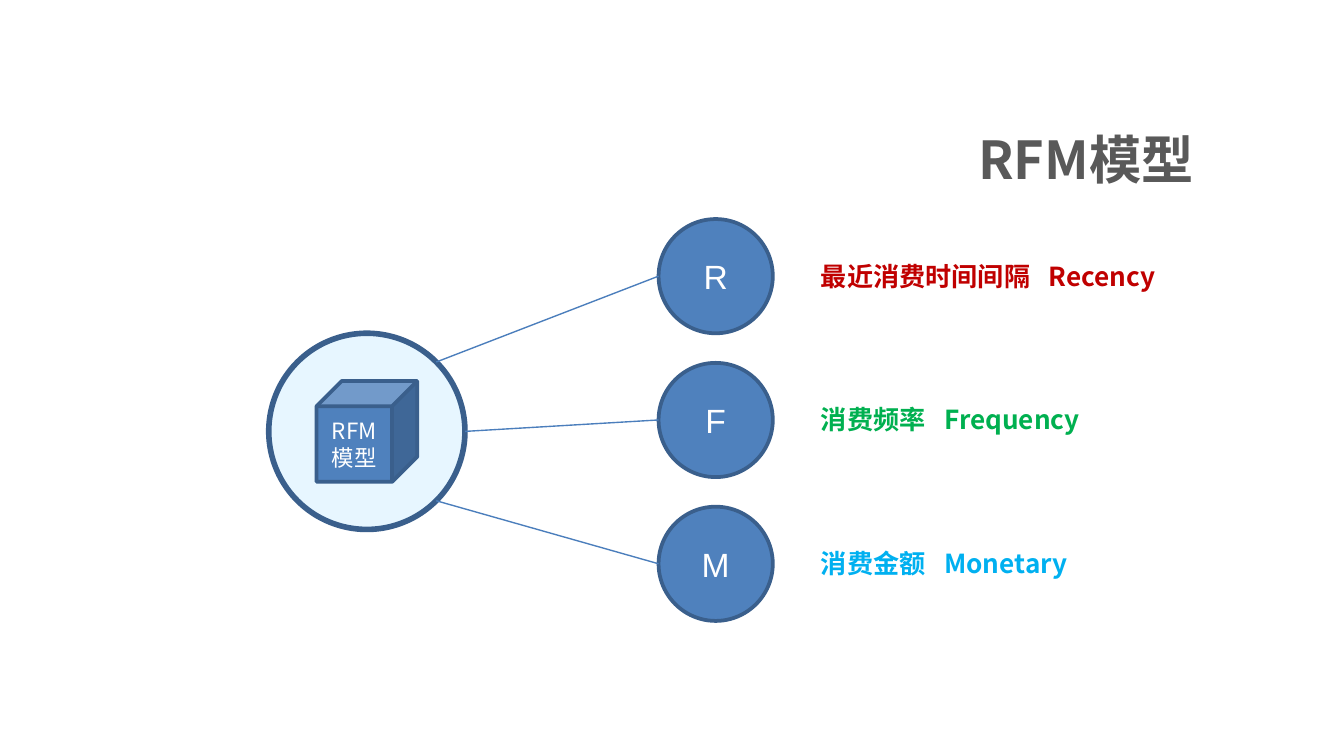
from math import cos, pi, sin

from pptx import Presentation
from pptx.dml.color import RGBColor
from pptx.enum.shapes import MSO_CONNECTOR as Connector, MSO_SHAPE as Shape
from pptx.enum.text import MSO_ANCHOR as Anchor, PP_ALIGN as Align
from pptx.oxml.ns import qn
from pptx.util import Inches, Pt
from lxml.etree import SubElement

WHITE = RGBColor(0xFF, 0xFF, 0xFF)
GREY = RGBColor(0x59, 0x59, 0x59)
BLUE = RGBColor(0x4F, 0x81, 0xBD)
DARK_BLUE = RGBColor(0x3A, 0x5F, 0x8C)
LINK_BLUE = RGBColor(0x4B, 0x7E, 0xBC)
PALE_BLUE = RGBColor(0xE7, 0xF6, 0xFF)
RED = RGBColor(0xC0, 0x00, 0x00)
GREEN = RGBColor(0x00, 0xB0, 0x50)
SKY = RGBColor(0x00, 0xB0, 0xF0)

CJK_FONT = "Noto Sans CJK SC"
LABEL_SIZE = 14
HUB_X, HUB_Y, HUB_SIZE = 2.73, 3.21, 1.46
CUBE_SIZE = 0.75
NODE_LEFT, NODE_TOP, NODE_SIZE, NODE_PITCH = 4.9, 1.63, 0.85, 1.07
LABEL_LEFT, LABEL_HEIGHT = 6.01, 0.34

# Letter, Chinese name, English name, colour, label width, hub angle
FACTORS = [
    ("R", "最近消费时间间隔", "Recency", RED, 2.71, -pi / 4),
    ("F", "消费频率", "Frequency", GREEN, 2.15, 0),
    ("M", "消费金额", "Monetary", SKY, 2.07, pi / 4),
]


def write(frame, text, size, color, font=CJK_FONT, bold=False, align=Align.CENTER):
    paragraph = frame.paragraphs[0]
    paragraph.alignment = align
    run = paragraph.add_run()
    run.text = text
    style = {"size": Pt(size), "name": font, "bold": bold}
    for attribute, value in style.items():
        setattr(run.font, attribute, value)
    run.font.color.rgb = color
    # East Asian characters take their own typeface
    SubElement(run._r.get_or_add_rPr(), qn("a:ea"), typeface=font)


def add_solid(slide, kind, left, top, size, fill, line_width):
    solid = slide.shapes.add_shape(
        kind, Inches(left), Inches(top), Inches(size), Inches(size))
    solid.shadow.inherit = False
    solid.fill.solid()
    solid.fill.fore_color.rgb = fill
    solid.line.color.rgb = DARK_BLUE
    solid.line.width = Pt(line_width)
    solid.text_frame.vertical_anchor = Anchor.MIDDLE
    return solid


def add_link(slide, x1, y1, x2, y2):
    link = slide.shapes.add_connector(
        Connector.STRAIGHT, Inches(x1), Inches(y1), Inches(x2), Inches(y2))
    link.line.color.rgb = LINK_BLUE
    link.line.width = Pt(0.75)
    SubElement(link._element.spPr, qn("a:effectLst"))


def add_label(slide, top, width, chinese, english, color):
    label = slide.shapes.add_textbox(
        Inches(LABEL_LEFT), Inches(top), Inches(width), Inches(LABEL_HEIGHT))
    frame = label.text_frame
    frame.word_wrap = False
    # The English name starts just after the full-width characters
    tab = Pt(LABEL_SIZE * len(chinese)) + Inches(0.14)
    tabs = SubElement(frame.paragraphs[0]._p.get_or_add_pPr(), qn("a:tabLst"))
    SubElement(tabs, qn("a:tab"), pos=str(tab), algn="l")
    write(frame, f"{chinese}\t{english}", LABEL_SIZE, color,
          bold=True, align=Align.LEFT)


def add_title(slide, text):
    title = slide.shapes.title
    place = {"left": 1.81, "top": 0.87, "width": 7.17, "height": 0.62}
    for attribute, value in place.items():
        setattr(title, attribute, Inches(value))
    title.text_frame.vertical_anchor = Anchor.MIDDLE
    write(title.text_frame, text, 28, GREY, bold=True, align=Align.RIGHT)


def add_hub(slide):
    add_solid(slide, Shape.OVAL, HUB_X - HUB_SIZE / 2, HUB_Y - HUB_SIZE / 2,
              HUB_SIZE, PALE_BLUE, 3)
    cube = add_solid(slide, Shape.CUBE, HUB_X - CUBE_SIZE / 2,
                     HUB_Y - CUBE_SIZE / 2, CUBE_SIZE, BLUE, 2)
    write(cube.text_frame, "RFM模型", 12, WHITE)


def add_factor(slide, index, letter, chinese, english, color, width, angle):
    top = NODE_TOP + index * NODE_PITCH
    middle = top + NODE_SIZE / 2
    add_label(slide, middle - LABEL_HEIGHT / 2, width, chinese, english, color)
    node = add_solid(slide, Shape.OVAL, NODE_LEFT, top, NODE_SIZE, BLUE, 2)
    write(node.text_frame, letter, 18, WHITE, font="Arial")
    radius = HUB_SIZE / 2
    add_link(slide, HUB_X + radius * cos(angle), HUB_Y + radius * sin(angle),
             NODE_LEFT, middle)


def main():
    deck = Presentation()
    # Widescreen, 16 to 9
    deck.slide_width = Inches(10)
    deck.slide_height = Inches(10) * 9 // 16
    slide = deck.slides.add_slide(deck.slide_layouts[5])

    add_title(slide, "RFM模型")
    # Model on the left, its three factors on the right
    add_hub(slide)
    for index, factor in enumerate(FACTORS):
        add_factor(slide, index, *factor)

    deck.save("out.pptx")


if __name__ == "__main__":
    main()
